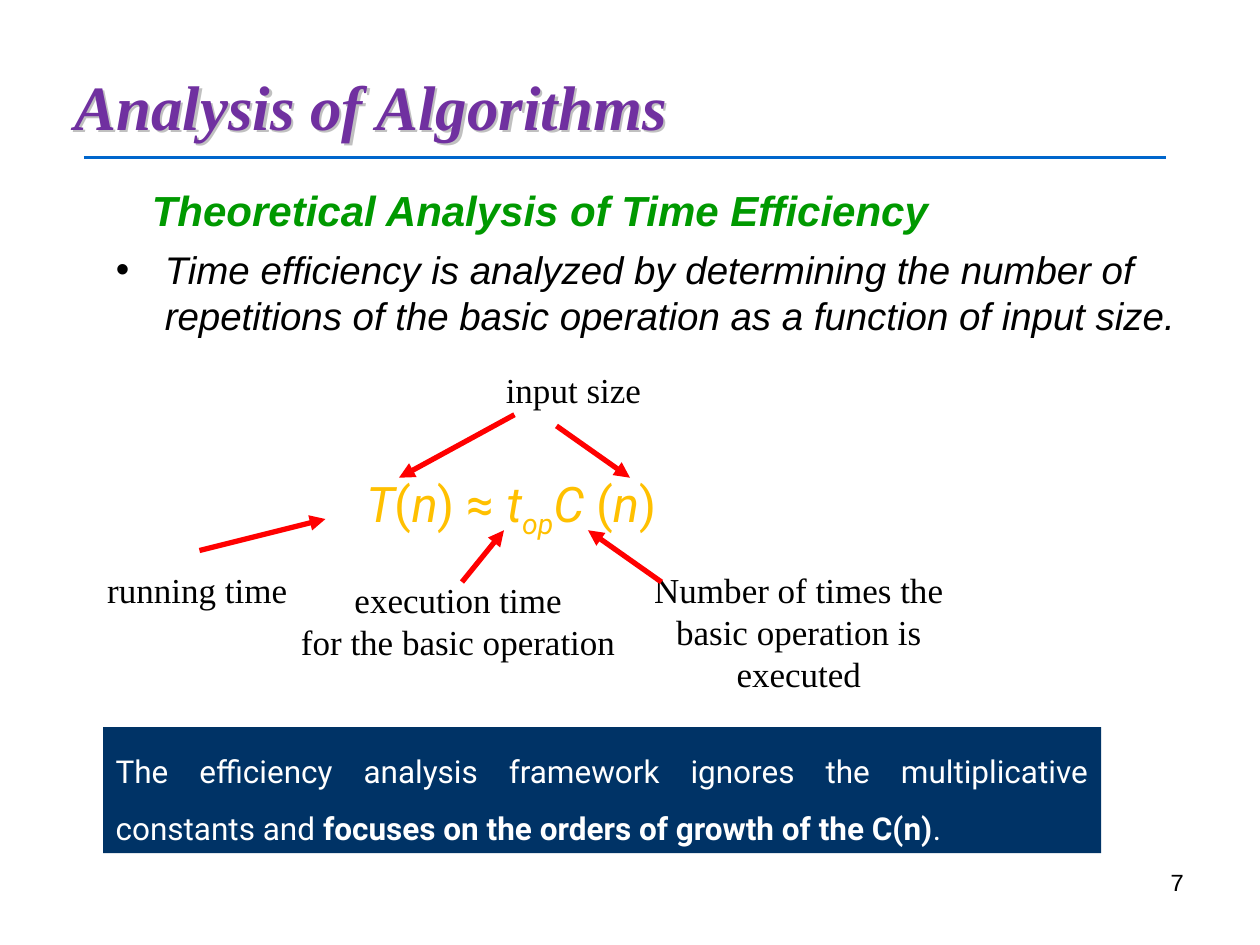
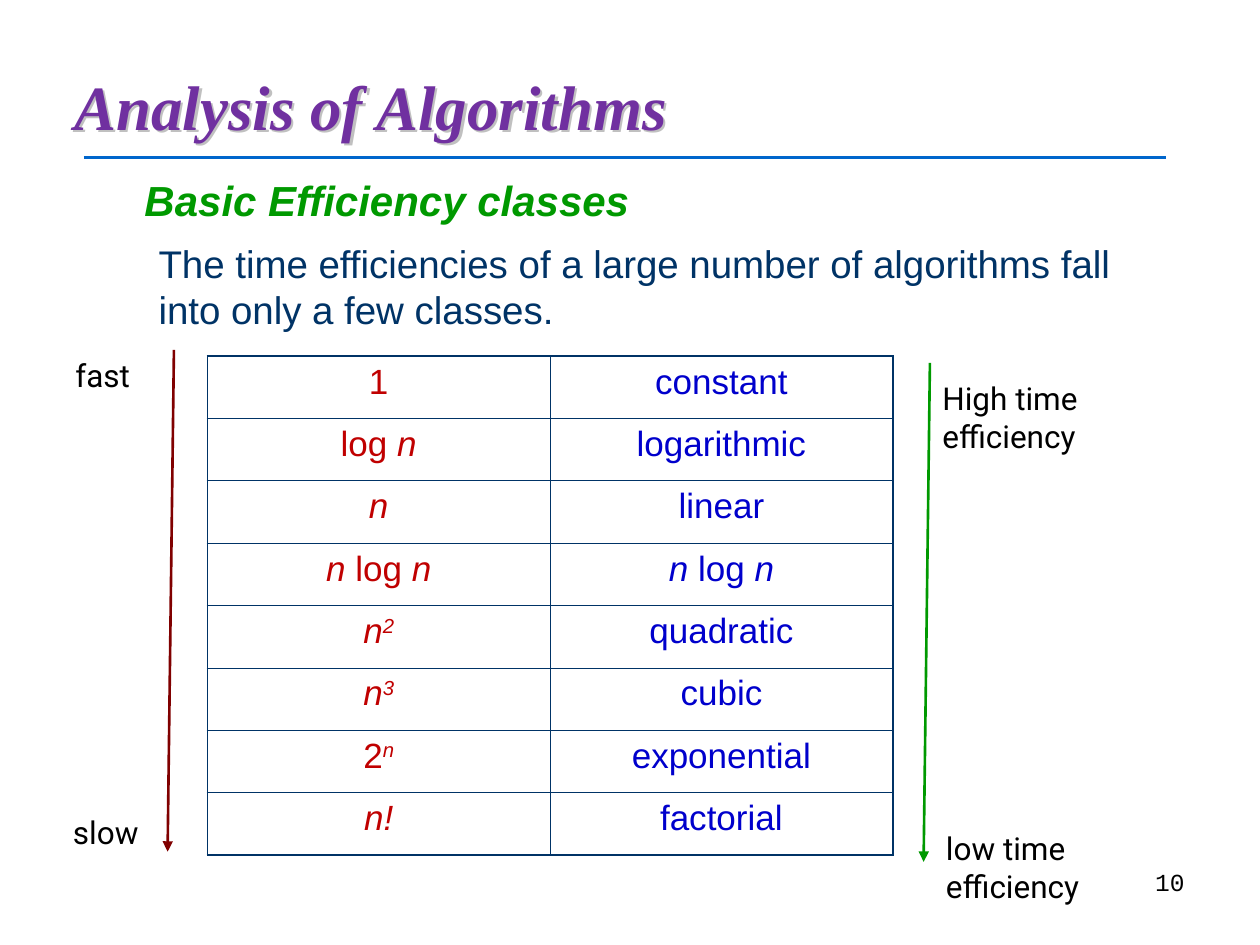
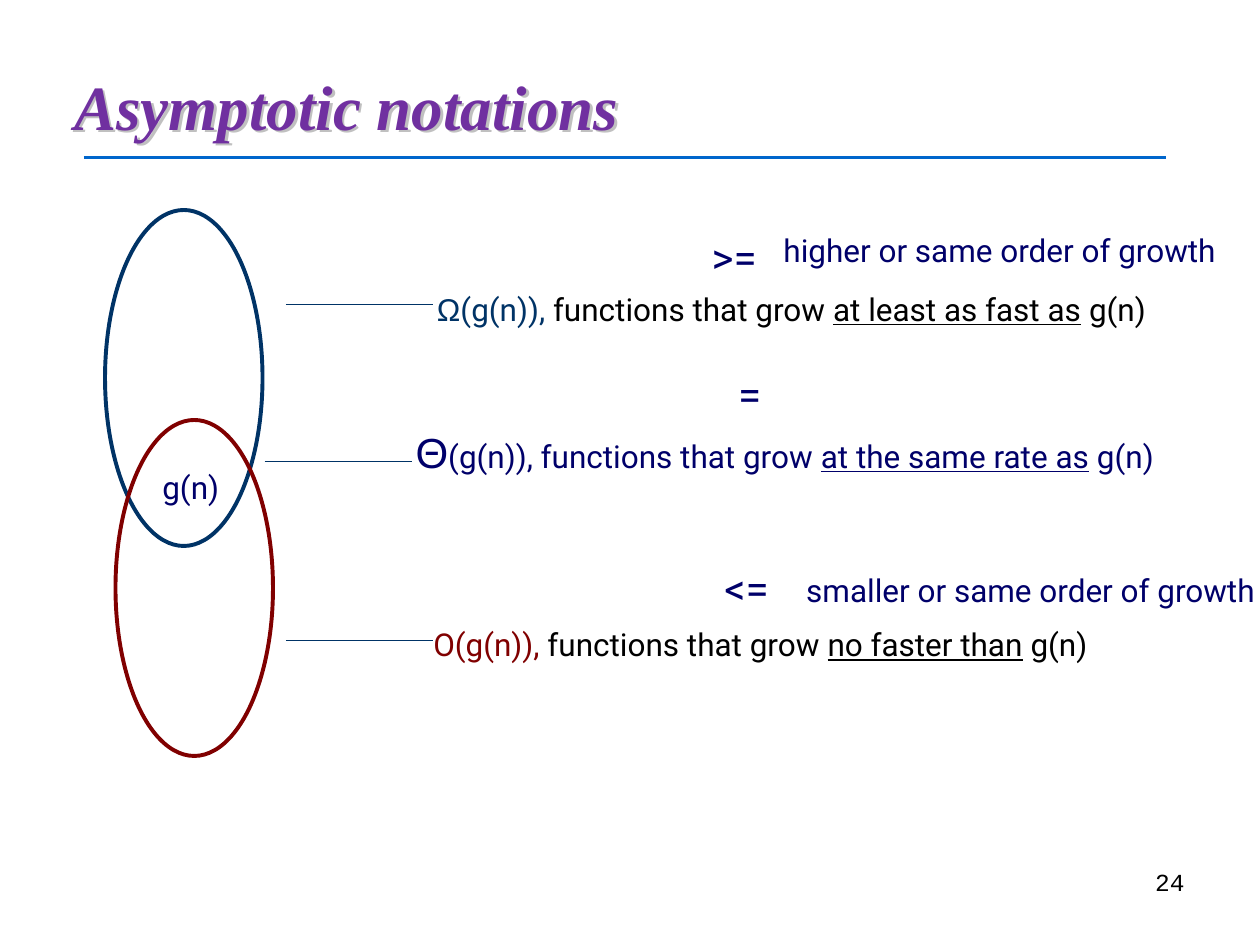
from dataclasses import dataclass

from lxml.etree import SubElement
from pptx import Presentation
from pptx.dml.color import RGBColor
from pptx.enum.shapes import MSO_CONNECTOR, MSO_SHAPE
from pptx.enum.text import MSO_ANCHOR, MSO_AUTO_SIZE, PP_ALIGN
from pptx.oxml import parse_xml
from pptx.oxml.ns import nsdecls, qn
from pptx.util import Pt


@dataclass(frozen=True)
class Theme:
    black: RGBColor = RGBColor.from_string("000000")
    white: RGBColor = RGBColor.from_string("FFFFFF")
    purple: RGBColor = RGBColor.from_string("7030A0")
    blue: RGBColor = RGBColor.from_string("0066CC")
    royal: RGBColor = RGBColor.from_string("0000CC")
    navy: RGBColor = RGBColor.from_string("003366")
    indigo: RGBColor = RGBColor.from_string("00006A")
    green: RGBColor = RGBColor.from_string("009900")
    red: RGBColor = RGBColor.from_string("FF0000")
    brick: RGBColor = RGBColor.from_string("C00000")
    maroon: RGBColor = RGBColor.from_string("800000")
    gold: RGBColor = RGBColor.from_string("FFC000")
    shade: RGBColor = RGBColor.from_string("C0C0C0")
    serif: str = "Times New Roman"
    sans: str = "Arial"
    text: str = "Roboto"
    mono: str = "Courier New"
    huge: int = Pt(36)
    large: int = Pt(28)
    head: int = Pt(24)
    body: int = Pt(22)
    label: int = Pt(20)
    note: int = Pt(18)
    small: int = Pt(14)


T = Theme()


def form(name, size, color, **more):
    return dict(name=name, size=size, color=color, **more)


TITLE = form(T.serif, T.huge, T.purple, bold=True, italic=True)
HEAD = form(T.sans, T.head, T.green, bold=True, italic=True)
LABEL = form(T.serif, T.label, T.black)
NOTE = form(T.text, T.note, T.black)
DEEP = form(T.text, T.note, T.indigo)
SIGN = form(T.text, T.head, T.indigo)
PAGE = form(T.mono, T.small, T.black)

SLANT = {"italic": True}
SUB = {"italic": True, "base": -25}
SUP = {"italic": True, "base": 30}
UNDER = {"underline": True}
WIDE, THIN = 1.08, 0.45


def paint(run, looks):
    for key, value in looks.items():
        if key == "color":
            run.font.color.rgb = value
        elif key == "base":
            run.font._element.set("baseline", str(value * 1000))
        else:
            setattr(run.font, key, value)


def write(frame, paras, base, align=PP_ALIGN.LEFT, space=1.0):
    """Fill a frame; a paragraph is a string or a list of strings and (string, looks)."""
    for index, runs in enumerate(paras):
        para = frame.add_paragraph() if index else frame.paragraphs[0]
        para.alignment, para.line_spacing = align, space
        para.space_before = Pt(0)
        for part in [runs] if isinstance(runs, str) else runs:
            words, looks = (part, {}) if isinstance(part, str) else part
            run = para.add_run()
            run.text = words
            paint(run, {**base, **looks})


def place(shape, spot):
    for key, value in zip(("left", "top", "width", "height"), spot):
        setattr(shape, key, Pt(value))


def indent(para, left, first):
    props = para._p.get_or_add_pPr()
    props.set("marL", str(Pt(left)))
    props.set("indent", str(Pt(first)))


def text(slide, spot, paras, base, wrap=False, **more):
    box = slide.shapes.add_textbox(*map(Pt, spot))
    box.text_frame.word_wrap = wrap
    box.text_frame.auto_size = MSO_AUTO_SIZE.NONE if wrap else MSO_AUTO_SIZE.SHAPE_TO_FIT_TEXT
    write(box.text_frame, paras, base, **more)
    return box


def line(slide, ends, color, width, arrow=False):
    link = slide.shapes.add_connector(MSO_CONNECTOR.STRAIGHT, *map(Pt, ends))
    link.line.color.rgb, link.line.width = color, Pt(width)
    props = link.element.spPr
    if arrow:
        SubElement(props.find(qn("a:ln")), qn("a:tailEnd"), type="triangle")
    SubElement(props, qn("a:effectLst"))
    return link


def shape(slide, kind, spot, fill=None, edge=None):
    item = slide.shapes.add_shape(kind, *map(Pt, spot))
    item.shadow.inherit = False
    if fill is None:
        item.fill.background()
    else:
        item.fill.solid()
        item.fill.fore_color.rgb = fill
    if edge is None:
        item.line.fill.background()
    else:
        item.line.color.rgb, item.line.width = edge, Pt(2.25)
    return item


def start(deck, layout, title, page):
    slide = deck.slides.add_slide(deck.slide_layouts[layout])
    head = slide.shapes.title
    frame = head.text_frame
    frame.auto_size, frame.vertical_anchor = MSO_AUTO_SIZE.NONE, MSO_ANCHOR.MIDDLE
    write(frame, [title], TITLE)
    # On a shape without fill the shadow falls from the letters.
    head.element.spPr.append(parse_xml(
        f'<a:effectLst {nsdecls("a")}><a:outerShdw dist="{Pt(2)}" dir="2700000">'
        f'<a:srgbClr val="{T.shade}"/></a:outerShdw></a:effectLst>'))
    text(slide, (516, 492, 168, 37.5), [page], PAGE, wrap=True, align=PP_ALIGN.RIGHT)
    return slide


def heading(slide, spot, words):
    box = text(slide, spot, [words], HEAD, wrap=True)
    indent(box.text_frame.paragraphs[0], 41.5, 0)


def border(cell, widths):
    """Draw the left, right, top and bottom border of a cell."""
    props = cell._tc.get_or_add_tcPr()
    for side, width in zip("LRTB", widths):
        edge = SubElement(props, qn(f"a:ln{side}"), w=str(Pt(width)))
        fill = SubElement(edge, qn("a:solidFill"))
        SubElement(fill, qn("a:srgbClr"), val=str(T.navy))


def grid(slide, spot, rows):
    count, span = len(rows), len(rows[0])
    table = slide.shapes.add_table(count, span, *map(Pt, spot)).table
    table.first_row = table.horz_banding = False
    for r, row in enumerate(rows):
        for c, (runs, color) in enumerate(zip(row, (T.brick, T.royal))):
            cell = table.cell(r, c)
            rims = (c == 0, c == span - 1, r == 0, r == count - 1)
            border(cell, [WIDE if rim else THIN for rim in rims])
            cell.fill.background()
            write(cell.text_frame, [runs], form(T.sans, T.label, color), align=PP_ALIGN.CENTER)


def timing(deck):
    slide = start(deck, 1, "Analysis of Algorithms", "7")
    heading(slide, (38.2, 102.2, 521, 36), "Theoretical Analysis of Time Efficiency")
    body = slide.placeholders[1]
    place(body, (59, 136.8, 623, 60.5))
    body.text_frame.auto_size = MSO_AUTO_SIZE.NONE
    write(body.text_frame, [
        "Time efficiency is analyzed by determining the number of repetitions "
        "of the basic operation as a function of input size."],
        form(T.sans, T.body, T.black, italic=True))
    indent(body.text_frame.paragraphs[0], 28, -28)

    for spot, paras, wrap in (
        ((50.7, 321.2, 124, 31.7), ["running time"], False),
        ((160, 327, 203.7, 55.5), ["execution time", "for the basic operation"], False),
        ((365.7, 321.2, 181.5, 79), ["Number of times the basic operation is executed"], True),
        ((277.7, 207, 100, 31.7), ["input size"], False),
    ):
        text(slide, spot, paras, LABEL, wrap, align=PP_ALIGN.CENTER)
    for ends in (
        (114, 314.6, 186, 296.6),
        (264, 332.6, 288, 303),
        (378, 332.6, 336, 303),
        (318, 243.4, 360, 273),
        (294, 237, 228, 273),
    ):
        line(slide, ends, T.red, 3, arrow=True)
    text(slide, (202.3, 267, 183.6, 45.4), [[
        ("T", SLANT), "(", ("n", SLANT), ") ≈ ", ("t", SLANT), ("op", SUB),
        ("C ", SLANT), "(", ("n", SLANT), ")"]], form(T.text, T.large, T.gold))

    band = shape(slide, MSO_SHAPE.RECTANGLE, (59, 415.5, 570.2, 72), fill=T.navy)
    band.text_frame.word_wrap = True
    band.text_frame.vertical_anchor = MSO_ANCHOR.TOP
    write(band.text_frame, [[
        "The efficiency analysis framework ignores the multiplicative constants and ",
        ("focuses on the orders of growth of the C(n)", {"bold": True}), "."]],
        form(T.text, T.note, T.white), align=PP_ALIGN.JUSTIFY, space=1.5)


def classes(deck):
    slide = start(deck, 5, "Analysis of Algorithms", "10")
    heading(slide, (34, 96, 631, 37.5), "Basic Efficiency classes")
    text(slide, (83.5, 133.4, 564, 60.5), [
        "The time efficiencies of a large number of algorithms fall into only a few classes."],
        form(T.sans, T.body, T.navy), wrap=True)
    n = ("n", SLANT)
    nlogn = [("n ", SLANT), "log ", n]
    grid(slide, (118.5, 203.5, 391.7, 285.12), [
        ("1", "constant"),
        (["log ", n], "logarithmic"),
        ([n], "linear"),
        (nlogn, nlogn),
        ([n, ("2", SUP)], "quadratic"),
        ([n, ("3", SUP)], "cubic"),
        (["2", ("n", SUP)], "exponential"),
        ([("n!", SLANT)], "factorial"),
    ])
    line(slide, (99.4, 200, 95.8, 486.7), T.maroon, 1.5, arrow=True)
    line(slide, (531.4, 207.4, 527.8, 492.5), T.green, 1.5, arrow=True)
    for spot, words, wrap in (
        ((36, 200, 46.8, 28.8), "fast", False),
        ((34.6, 460.8, 54.7, 28.8), "slow", False),
        ((531.4, 213, 168, 50.4), "High time efficiency", True),
        ((533.5, 470.2, 158, 50.4), "low time efficiency", True),
    ):
        text(slide, spot, [words], NOTE, wrap)


def orders(deck):
    slide = start(deck, 5, "Asymptotic notations", "24")
    shape(slide, MSO_SHAPE.OVAL, (60, 120, 90, 192), edge=T.navy)
    shape(slide, MSO_SHAPE.OVAL, (66, 240, 90, 192), edge=T.maroon)
    for left, top in ((163.4, 174), (151.2, 263.8), (163.4, 366)):
        line(slide, (left, top, left + 84, top), T.navy, 0.75)

    grow = " functions that grow "
    text(slide, (242.6, 162, 438.5, 28.8), [[
        ("Ω", {"name": T.sans, "color": T.navy}), ("(g(n)),", {"color": T.navy}),
        grow, ("at least as fast as", UNDER), " g(n)"]], NOTE)
    text(slide, (230.4, 240, 460, 36), [[
        ("Θ", {"name": T.sans, "size": T.head}), "(g(n))," + grow,
        ("at the same rate as", UNDER), " g(n)"]], DEEP)
    text(slide, (240.5, 353.7, 414, 28.8), [[
        ("O(g(n)),", {"color": T.maroon}), grow, ("no faster than", UNDER), " g(n)"]], NOTE)

    for spot, words, base in (
        ((399.6, 128.9, 41.8, 36), ">=", SIGN),
        ((414.7, 207, 28, 36), "=", SIGN),
        ((406.8, 318.2, 41.8, 36), "<=", SIGN),
        ((85.7, 264.2, 47.5, 28.8), "g(n)", DEEP),
        ((440.6, 128.2, 282.2, 28.8), "higher or same order of growth", DEEP),
        ((453.6, 322.6, 289.4, 28.8), "smaller or same order of growth", DEEP),
    ):
        text(slide, spot, [words], base)


def main():
    deck = Presentation()
    deck.slide_width, deck.slide_height = Pt(720), Pt(540)
    master = deck.slide_master
    place(master.placeholders[0], (35.3, 36, 655, 48))
    timing(deck)
    classes(deck)
    orders(deck)
    # The rule under the title belongs to the master, so every slide shows it.
    rule = line(deck.slides[0], (48, 90, 666, 90), T.blue, 1.75)
    master.shapes.element.append(rule.element)
    deck.save("out.pptx")


if __name__ == "__main__":
    main()
